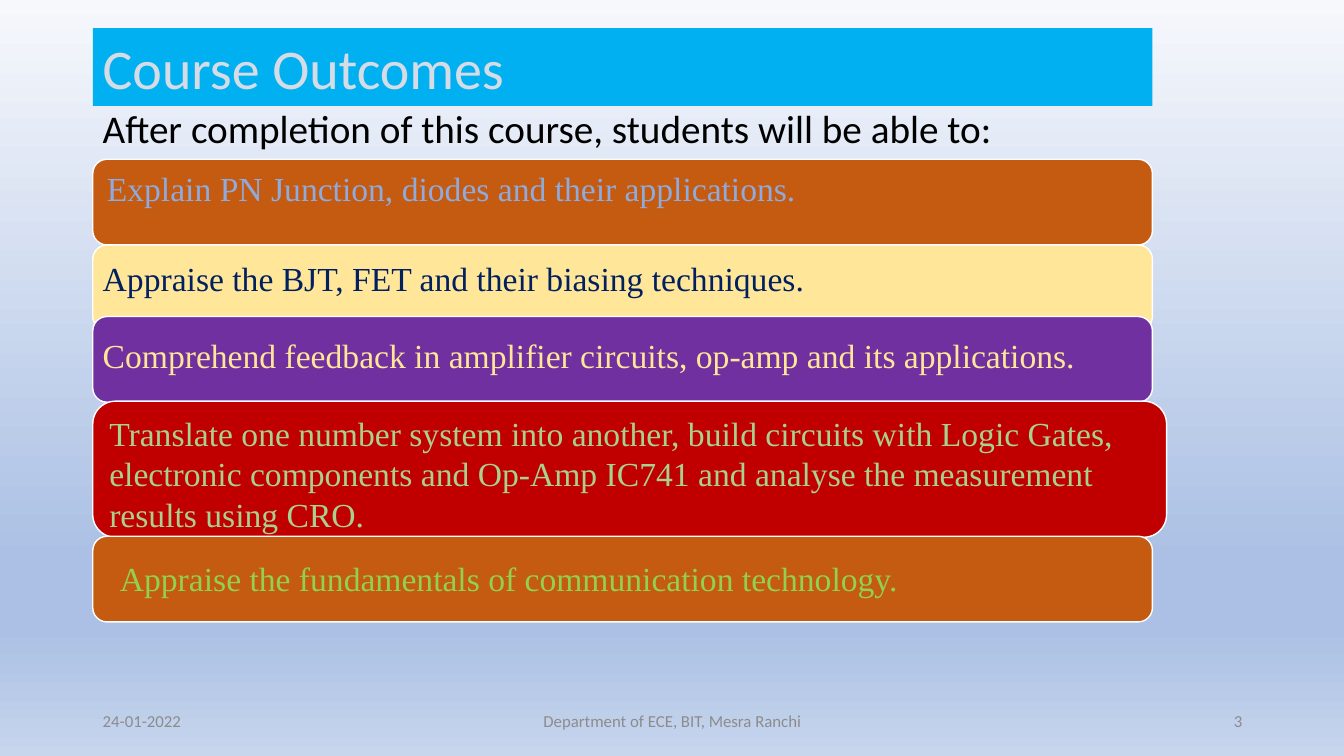
from lxml import etree
from pptx import Presentation, util as u
from pptx.dml.color import RGBColor
from pptx.enum import shapes, text
from pptx.oxml.ns import qn

WIDTH, HEIGHT = 13.33, 7.5
LEFT, BAR_WIDTH, BAR_HEIGHT = 0.92, 10.51, 0.85
FOOTER_TOP, FOOTER_HEIGHT = 6.95, 0.4
SERIF, SANS = "Times New Roman", "Calibri"
ALIGN, ANCHOR = text.PP_ALIGN, text.MSO_ANCHOR

BACKGROUND = [(0, "F6F8FC"), (74, "ABC0E4"), (83, "ABC0E4"), (100, "C7D5ED")]
TITLE = "Course Outcomes"
LEAD = "After completion of this course, students will be able to:"

# top, width, height, fill, text colour, wording, label (left, top, width, align) or None
OUTCOMES = [
    (1.58, BAR_WIDTH, BAR_HEIGHT, "C55A11", "8FAADC",
     "Explain PN Junction, diodes and their applications.", None),
    (2.43, BAR_WIDTH, BAR_HEIGHT, "FFE699", "002060",
     "Appraise the BJT, FET and their biasing techniques.",
     (LEFT, 2.51, 9.91, ALIGN.JUSTIFY)),
    (3.14, BAR_WIDTH, BAR_HEIGHT, "7030A0", "FFE699",
     "Comprehend feedback in amplifier circuits, op-amp and its applications.",
     (LEFT, 3.27, 9.91, ALIGN.LEFT)),
    (3.98, 10.65, 1.35, "C00000", "A9D18E",
     "Translate one number system into another, build circuits with Logic Gates, "
     "electronic components and Op-Amp IC741 and analyse the measurement results "
     "using CRO.", None),
    (5.32, BAR_WIDTH, BAR_HEIGHT, "C55A11", "92D050",
     "Appraise the fundamentals of communication technology.",
     (1.09, 5.49, 9.58, ALIGN.LEFT)),
]

# left, width, align, wording
FOOTER = [
    (LEFT, 3, ALIGN.LEFT, "24-01-2022"),
    (4.42, 4.5, ALIGN.CENTER, "Department of ECE, BIT, Mesra Ranchi"),
    (9.42, 3, ALIGN.RIGHT, "3"),
]


def colour(value):
    return RGBColor.from_string(value)


def inches(*lengths):
    return [u.Inches(length) for length in lengths]


def write(shape, wording, *, size=24, font=SERIF, ink="000000",
          align=ALIGN.LEFT, anchor=ANCHOR.TOP, grow=False):
    frame = shape.text_frame
    frame.word_wrap = True
    frame.vertical_anchor = anchor
    if grow:
        frame.auto_size = text.MSO_AUTO_SIZE.SHAPE_TO_FIT_TEXT
    para = frame.paragraphs[0]
    para.alignment = align
    span = para.add_run()
    span.text = wording
    span.font.size = u.Pt(size)
    span.font.name = font
    span.font.color.rgb = colour(ink)


def add_bar(page, kind, box, fill, line=None):
    bar = page.shapes.add_shape(kind, *inches(*box))
    bar.shadow.inherit = False
    bar.fill.solid()
    bar.fill.fore_color.rgb = colour(fill)
    if line:
        bar.line.color.rgb = colour(line)
        bar.line.width = u.Pt(1)
    else:
        bar.line.fill.background()
    return bar


def paint_background(page, stops):
    """Fill the page with a top-to-bottom gradient of (percent, colour) stops."""
    fill = page.background.fill
    fill.gradient()
    fill.gradient_angle = 270
    stop_list = page.element.find(".//" + qn("a:gsLst"))
    for stop in list(stop_list):
        stop_list.remove(stop)
    for percent, value in stops:
        stop = etree.SubElement(stop_list, qn("a:gs"), pos=str(percent * 1000))
        etree.SubElement(stop, qn("a:srgbClr"), val=value)


def main():
    deck = Presentation()
    deck.slide_width, deck.slide_height = inches(WIDTH, HEIGHT)
    page = deck.slides.add_slide(deck.slide_layouts[6])
    paint_background(page, BACKGROUND)

    title = add_bar(page, shapes.MSO_SHAPE.RECTANGLE,
                    (LEFT, 0.28, BAR_WIDTH, 0.77), "00B0F0")
    write(title, TITLE, size=40, font=SANS, ink="D6DCE5",
          align=ALIGN.JUSTIFY, anchor=ANCHOR.MIDDLE)
    lead = page.shapes.add_textbox(*inches(LEFT, 0.99, BAR_WIDTH, 0.57))
    write(lead, LEAD, size=28, font=SANS, grow=True)

    for top, width, height, fill, ink, wording, label in OUTCOMES:
        bar = add_bar(page, shapes.MSO_SHAPE.ROUNDED_RECTANGLE,
                      (LEFT, top, width, height), fill, line="FFFFFF")
        if label:
            left, label_top, label_width, align = label
            box = page.shapes.add_textbox(*inches(left, label_top, label_width, 0.5))
            write(box, wording, ink=ink, align=align, grow=True)
        else:
            write(bar, wording, ink=ink)

    for left, width, align, wording in FOOTER:
        box = page.shapes.add_textbox(*inches(left, FOOTER_TOP, width, FOOTER_HEIGHT))
        write(box, wording, size=12, font=SANS, ink="8C8C8C",
              align=align, anchor=ANCHOR.MIDDLE)

    deck.save("out.pptx")


if __name__ == "__main__":
    main()
